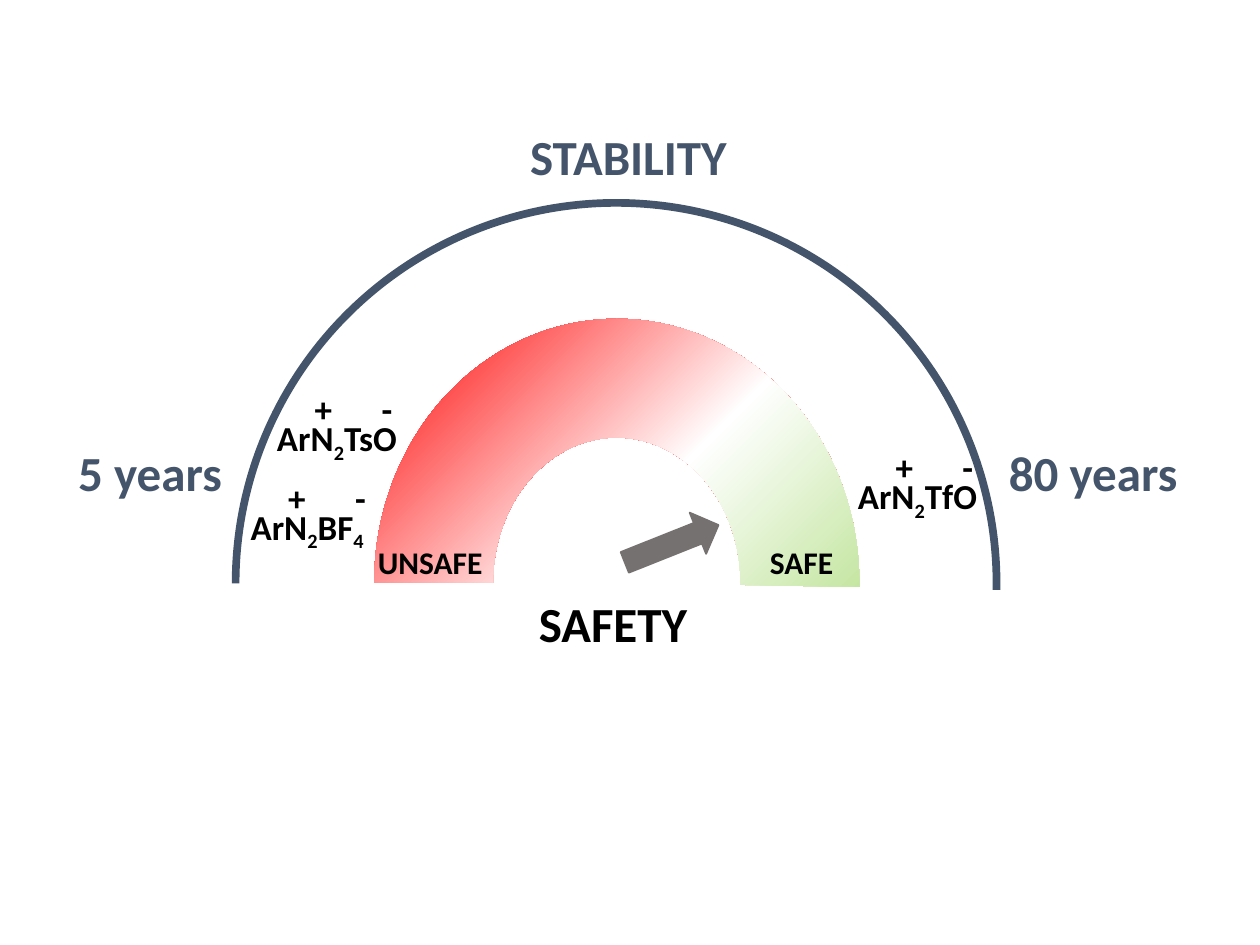
from dataclasses import dataclass

from lxml.etree import SubElement
from pptx import Presentation
from pptx.dml.color import RGBColor
from pptx.enum.shapes import MSO_SHAPE
from pptx.enum.text import MSO_AUTO_SIZE
from pptx.oxml.ns import qn
from pptx.util import Inches, Pt

SLATE = RGBColor(0x44, 0x54, 0x6A)
GREY = RGBColor(0x76, 0x71, 0x71)
BLACK = RGBColor(0, 0, 0)
GREEN = RGBColor(0x92, 0xD0, 0x50)
WHITE = RGBColor(0xFF, 0xFF, 0xFF)
RED = RGBColor(0xFF, 0, 0)
FONT = "Calibri"


@dataclass
class Box:
    """A region in inches; areas are given in percent of it."""
    left: float
    top: float
    width: float
    height: float

    def area(self, x, y, w, h):
        return Box(self.left + self.width * x / 100, self.top + self.height * y / 100,
                   self.width * w / 100, self.height * h / 100)

    def emu(self):
        return [Inches(v) for v in (self.left, self.top, self.width, self.height)]


def add_label(shapes, box, pieces, size, color=BLACK):
    """Bold one-line text; pieces are (text, is_subscript) pairs."""
    frame = shapes.add_textbox(*box.emu()).text_frame
    frame.word_wrap = False
    frame.auto_size = MSO_AUTO_SIZE.SHAPE_TO_FIT_TEXT
    for text, is_subscript in pieces:
        run = frame.paragraphs[0].add_run()
        run.text = text
        run.font.name, run.font.size, run.font.bold = FONT, Pt(size), True
        run.font.color.rgb = color
        if is_subscript:
            run.font._element.set("baseline", "-25000")


def add_solid(shapes, preset, box, color):
    shape = shapes.add_shape(preset, *box.emu())
    shape.shadow.inherit = False
    shape.fill.solid()
    shape.fill.fore_color.rgb = color
    shape.line.fill.background()
    return shape


def add_half_ring(shapes, box, color, end, thickness):
    """Upper half ring; angles are in units of 100000/60000 degree."""
    ring = add_solid(shapes, MSO_SHAPE.BLOCK_ARC, box, color)
    for index, value in enumerate((108, end, thickness)):
        ring.adjustments[index] = value
    return ring


def set_corner_gradient(shape, stops):
    """Circular gradient spreading from the bottom right corner."""
    shape.fill.gradient()
    gradient = shape._element.spPr.find(qn("a:gradFill"))
    for child in list(gradient):
        gradient.remove(child)
    stop_list = SubElement(gradient, qn("a:gsLst"))
    for percent, color in stops:
        stop = SubElement(stop_list, qn("a:gs"), pos=str(percent * 1000))
        SubElement(stop, qn("a:srgbClr"), val=str(color))
    circle = SubElement(gradient, qn("a:path"))
    circle.set("path", "circle")
    SubElement(circle, qn("a:fillToRect"), l="100000", t="100000")


def add_safety_gauge(shapes, box):
    band = add_half_ring(shapes, box, WHITE, 0.6, 0.245)
    set_corner_gradient(band, [(0, GREEN), (55, WHITE), (100, RED)])

    needle = add_solid(shapes, MSO_SHAPE.LEFT_ARROW, box.area(50.9, 38.4, 20.8, 8.4), GREY)
    needle.rotation = 158.3
    needle.line.color.rgb = GREY
    needle.line.width = Pt(1)

    add_label(shapes, box.area(31.4, 50.8, 36.1, 13.6), [("SAFETY", False)], 28)
    add_label(shapes, box.area(79, 41.3, 18.4, 9.5), [("SAFE", False)], 18)
    add_label(shapes, box.area(-1.8, 41.3, 27, 9.5), [("UNSAFE", False)], 18)


def add_stability_scale(shapes, box):
    add_half_ring(shapes, box, SLATE, 0.59, 0.01)
    for text, x, y, width in (("STABILITY", 37.2, -10.2, 29.2),
                              ("5 years", -21.6, 30.8, 22.3),
                              ("80 years", 99.5, 30.8, 25.6)):
        add_label(shapes, box.area(x, y, width, 9.3), [(text, False)], 28, SLATE)


def add_diazonium_salt(shapes, box, anion, formula_width=100):
    """Formula with the charges of both ions above it, as one group."""
    salt = shapes.add_group_shape().shapes
    formula = [("ArN", False), ("2", True), *anion]
    add_label(salt, box.area(0, 34.3, formula_width, 65.7), formula, 20)
    add_label(salt, box.area(25.6, 0, 29, 65.7), [("+", False)], 20)
    add_label(salt, box.area(70.9, 0, 24.8, 65.7), [("-", False)], 20)


def main():
    deck = Presentation()
    deck.slide_width, deck.slide_height = Inches(10), Inches(7.5)
    shapes = deck.slides.add_slide(deck.slide_layouts[6]).shapes

    add_safety_gauge(shapes, Box(2.97, 2.53, 3.85, 4.19))
    add_stability_scale(shapes, Box(1.84, 1.58, 6.1, 6.1))

    # Salts, placed by stability
    add_diazonium_salt(shapes, Box(2.1, 3.03, 1.17, 0.67), [("TsO", False)])
    add_diazonium_salt(shapes, Box(1.89, 3.73, 1.17, 0.67),
                       [("BF", False), ("4", True)], formula_width=96.6)
    add_diazonium_salt(shapes, Box(6.71, 3.49, 1.17, 0.67), [("TfO", False)])

    deck.save("out.pptx")


if __name__ == "__main__":
    main()
